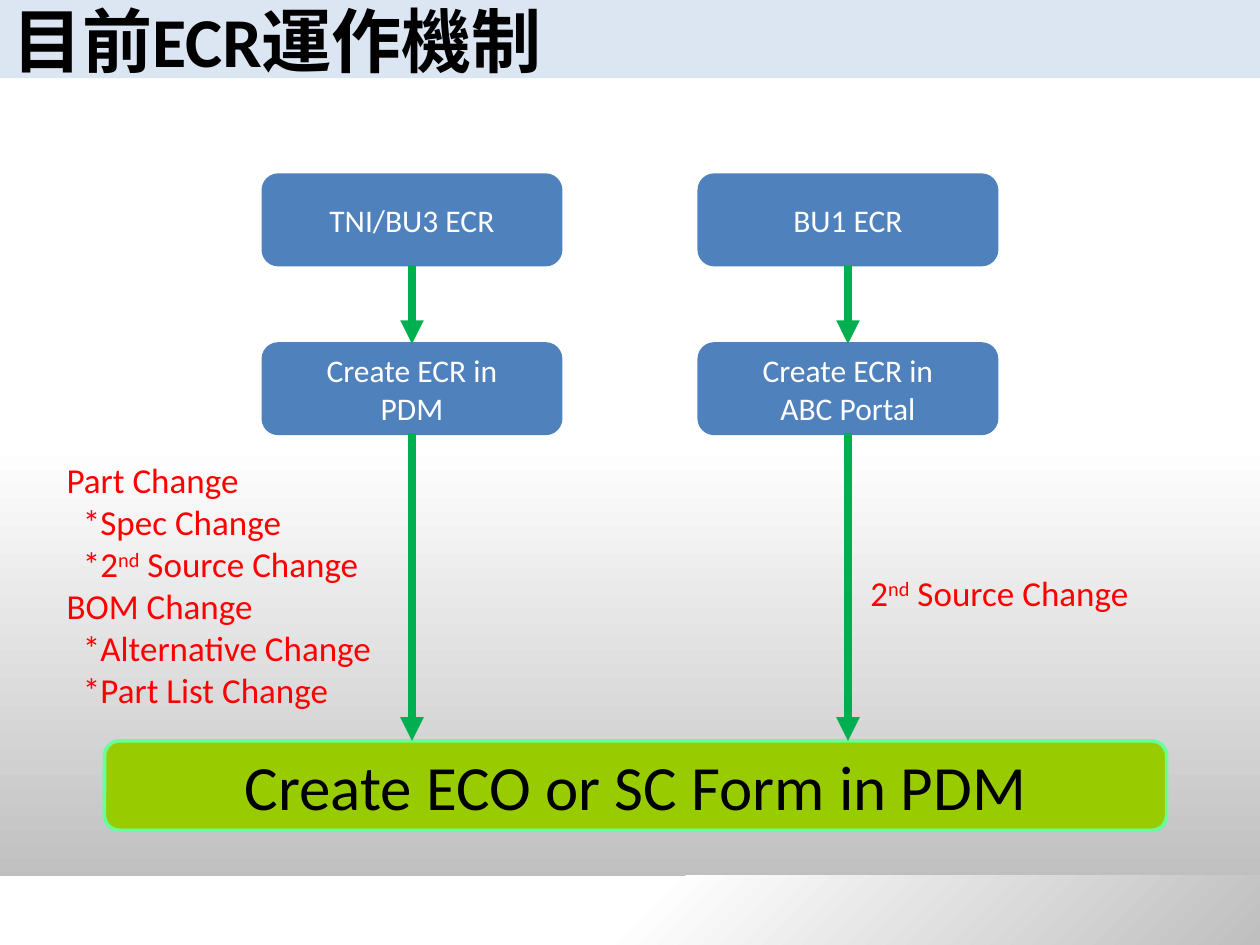
from dataclasses import dataclass

from lxml.etree import SubElement
from pptx import Presentation
from pptx.dml.color import RGBColor as RGB
from pptx.enum.shapes import MSO_CONNECTOR as Connector, MSO_SHAPE as Shape
from pptx.enum.text import MSO_ANCHOR as Anchor, PP_ALIGN as Align
from pptx.oxml.ns import qn
from pptx.util import Inches, Pt


@dataclass(frozen=True)
class Theme:
    """Colours, type sizes and line widths of the slide."""
    font: str = "Calibri"
    white: str = "FFFFFF"
    black: str = "000000"
    grey: str = "BFBFBF"
    band: str = "DCE6F2"
    step: str = "4F81BD"
    result: str = "99CC00"
    result_edge: str = "66FF99"
    arrow: str = "00B050"
    note: str = "FF0000"
    title_size: int = 40
    step_size: int = 18
    note_size: int = 20
    result_size: int = 36
    edge_width: float = 2
    arrow_width: float = 4.5


THEME = Theme()
SOURCE_CHANGE = ("2", "^nd", " Source Change")
CHANGES = [
    (0, ("Part Change",)),
    (1, ("*Spec Change",)),
    (1, SOURCE_CHANGE),
    (0, ("BOM Change",)),
    (1, ("*Alternative Change",)),
    (1, ("*Part List Change",)),
]


def write(paragraph, text, size, color, bold=False):
    """Add one styled run; a leading caret makes it superscript."""
    run = paragraph.add_run()
    run.text = text.removeprefix("^")
    run.font.name, run.font.size, run.font.bold = THEME.font, Pt(size), bold
    run.font.color.rgb = RGB.from_string(color)
    if text.startswith("^"):
        run._r.get_or_add_rPr().set("baseline", "30000")


def add_block(slide, box, kind, fill=None, edge=None):
    """Place a flat shape in the box."""
    block = slide.shapes.add_shape(kind, *map(Inches, box))
    block.shadow.inherit = False
    if fill:
        block.fill.solid()
        block.fill.fore_color.rgb = RGB.from_string(fill)
    if edge:
        block.line.color.rgb = RGB.from_string(edge)
        block.line.width = Pt(THEME.edge_width)
    else:
        block.line.fill.background()
    return block


def fill_text(block, lines, size, color, align=Align.CENTER, bold=False):
    """Write the lines into a shape, vertically centred."""
    frame = block.text_frame
    frame.word_wrap = True
    frame.vertical_anchor = Anchor.MIDDLE
    for index, line in enumerate(lines):
        paragraph = frame.add_paragraph() if index else frame.paragraphs[0]
        paragraph.alignment = align
        write(paragraph, line, size, color, bold)


def add_backdrop(slide, box, radial=False):
    """Place a grey-to-white gradient, upward or from the lower right corner."""
    backdrop = add_block(slide, box, Shape.RECTANGLE)
    fill = backdrop.fill
    fill.gradient()
    fill.gradient_angle = 90
    for stop, color, position in zip(fill.gradient_stops, (THEME.grey, THEME.white), (0, 0.5)):
        stop.color.rgb = RGB.from_string(color)
        stop.position = position
    if radial:
        linear = next(backdrop._element.spPr.iter(qn("a:lin")))
        gradient = linear.getparent()
        gradient.remove(linear)
        circle = SubElement(gradient, qn("a:path"), {"path": "circle"})
        SubElement(circle, qn("a:fillToRect"), {"l": "100000", "t": "100000"})


def add_title(slide, box):
    """Place the title band."""
    band = add_block(slide, box, Shape.RECTANGLE, THEME.band)
    fill_text(band, ["目前ECR運作機制"], THEME.title_size, THEME.black, Align.LEFT, True)


def add_arrow(slide, x, top, bottom, start, end=None):
    """Draw a downward arrow from one step, joined to the next if given."""
    arrow = slide.shapes.add_connector(
        Connector.STRAIGHT, Inches(x), Inches(top), Inches(x), Inches(bottom))
    arrow.line.color.rgb = RGB.from_string(THEME.arrow)
    arrow.line.width = Pt(THEME.arrow_width)
    SubElement(arrow.line._get_or_add_ln(), qn("a:tailEnd"), {"type": "triangle"})
    SubElement(arrow._element.spPr, qn("a:effectLst"))
    arrow.begin_connect(start, 2)
    if end is not None:
        arrow.end_connect(end, 0)


def add_route(slide, box, request, creation):
    """Place two steps and the arrows that lead down through the box."""
    left, top, width, height = box
    step_height, pitch = 0.71, 1.34
    center = left + width / 2
    steps = []
    for index, lines in enumerate((request, creation)):
        step_box = (left, top + index * pitch, width, step_height)
        step = add_block(slide, step_box, Shape.ROUNDED_RECTANGLE, THEME.step, THEME.step)
        fill_text(step, lines, THEME.step_size, THEME.white)
        steps.append(step)
    first, second = steps
    add_arrow(slide, center, top + step_height, top + pitch, first, second)
    add_arrow(slide, center, top + pitch + step_height, top + height, second)


def add_note(slide, box, lines):
    """Place a red note whose lines are pairs of level and run texts."""
    frame = slide.shapes.add_textbox(*map(Inches, box)).text_frame
    frame.word_wrap = True
    for index, (level, texts) in enumerate(lines):
        paragraph = frame.add_paragraph() if index else frame.paragraphs[0]
        if level:
            paragraph._p.get_or_add_pPr().set("marL", str(Inches(0.13 * level)))
            texts = texts if texts[0].startswith("*") else ("*" + texts[0], *texts[1:])
        for text in texts:
            write(paragraph, text, THEME.note_size, THEME.note)


def add_result(slide, box):
    """Place the form that both routes end in."""
    result = add_block(slide, box, Shape.ROUNDED_RECTANGLE, THEME.result, THEME.result_edge)
    fill_text(result, ["Create ECO or SC Form in PDM"], THEME.result_size, THEME.black)


def main():
    """Build the slide and save it."""
    deck = Presentation()
    deck.slide_width, deck.slide_height = Inches(10), Inches(7.5)
    slide = deck.slides.add_slide(deck.slide_layouts[6])
    add_backdrop(slide, (0, 0, 10, 7.03))
    add_backdrop(slide, (0, 6.95, 10, 0.55), radial=True)
    add_title(slide, (0, 0, 10, 0.62))
    add_result(slide, (0.83, 5.88, 8.43, 0.71))
    add_route(slide, (2.09, 1.39, 2.36, 4.49), ["TNI/BU3 ECR"], ["Create ECR in", "PDM"])
    add_route(slide, (5.55, 1.39, 2.36, 4.49), ["BU1 ECR"], ["Create ECR in", "ABC Portal"])
    add_note(slide, (0.43, 3.59, 2.68, 2.12), CHANGES)
    add_note(slide, (6.81, 4.49, 2.52, 0.44), [(0, SOURCE_CHANGE)])
    deck.save("out.pptx")


if __name__ == "__main__":
    main()
